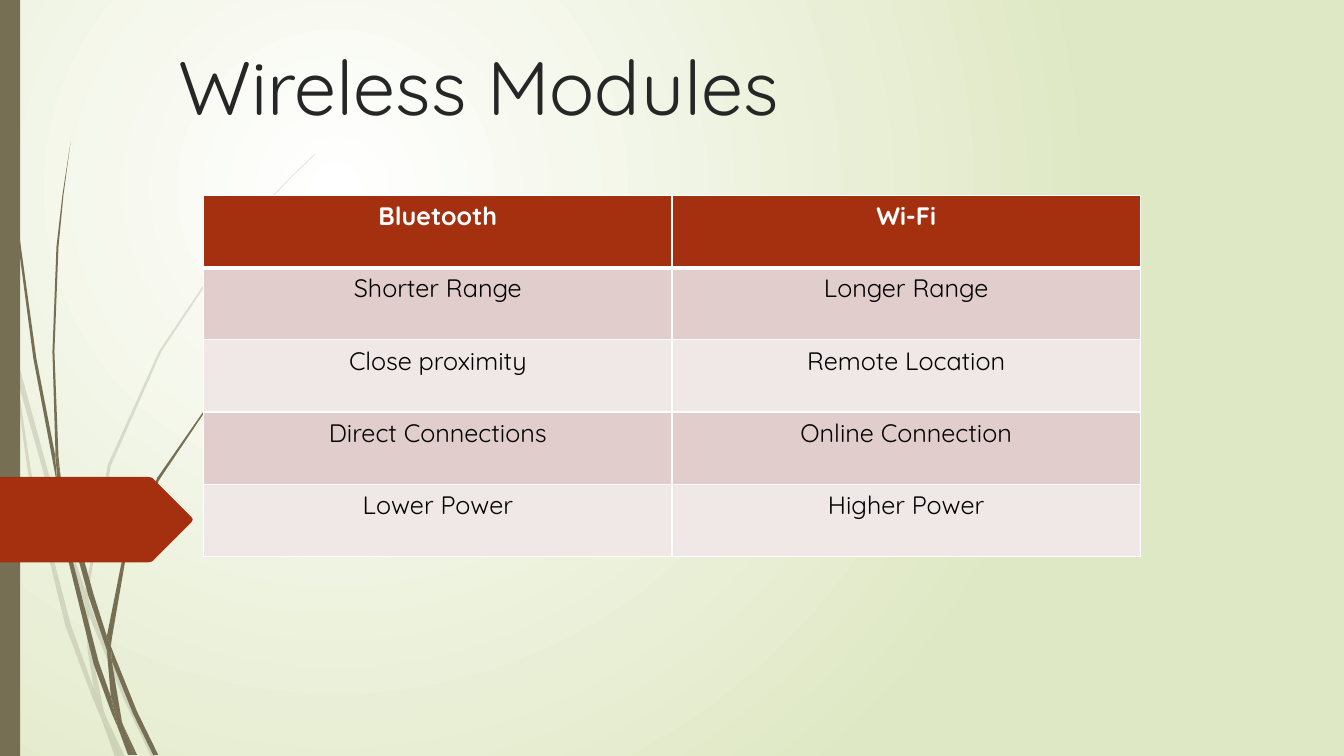
from dataclasses import dataclass
from pptx import Presentation
from pptx import util as u
from pptx.dml.color import RGBColor
from pptx.enum import shapes, text
from pptx.oxml.ns import qn
from lxml import etree

PX = 9144  # one px is a hundredth of an inch


@dataclass(frozen=True)
class Theme:
    font: str = "Quicksand"
    title: int = 54
    cell: int = 18
    ink: str = "262626"
    black: str = "000000"
    white: str = "FFFFFF"
    glow: str = "DFE8C4"
    stem: str = "766F54"
    accent: str = "A53010"
    bands: tuple = ("E1CDCC", "F0E8E7")


T = Theme()

# Corners of each grass piece, in px from the top left of the slide.
FAINT_GRASS = [
    [(11, 350), (9, 322), (0, 282), (0, 299), (10, 344)],
    [(58, 522), (84, 599), (85, 586), (62, 520), (14, 345), (17, 376)],
    [(92, 607), (88, 596), (88, 610), (123, 694), (150, 751), (155, 751), (127, 692)],
    [(119, 751), (124, 751), (105, 711)],
    [(93, 683), (70, 619), (31, 469), (17, 376), (11, 350), (28, 470), (65, 621),
     (92, 693), (101, 714), (99, 707)],
    [(84, 599), (87, 646), (93, 683), (96, 692), (105, 711), (103, 706), (91, 646),
     (88, 610), (88, 608)],
    [(88, 584), (110, 462), (160, 349), (229, 245), (268, 198), (290, 175), (312, 154),
     (312, 153), (289, 175), (268, 197), (228, 244), (158, 348), (107, 461), (85, 584),
     (85, 586), (88, 596)],
    [(101, 714), (114, 751), (119, 751)],
    [(88, 608), (88, 610), (88, 596), (85, 586), (84, 599)],
    [(96, 692), (93, 683), (99, 707), (101, 714), (119, 751), (105, 711)],
]
DARK_GRASS = [
    [(7, 110), (17, 233), (33, 355), (56, 477), (57, 481), (55, 457), (55, 453), (36, 355),
     (19, 232), (8, 109), (5, 48), (4, 0), (3, 0), (4, 48)],
    [(88, 592), (106, 645), (106, 633), (106, 631), (93, 590), (60, 472), (64, 505)],
    [(113, 649), (110, 641), (111, 656), (132, 708), (152, 749), (157, 749), (136, 706)],
    [(110, 691), (98, 657), (72, 556), (64, 505), (57, 477), (68, 557), (93, 659),
     (111, 708), (117, 722), (116, 717)],
    [(60, 472), (58, 453), (54, 349), (58, 245), (63, 193), (70, 141), (62, 193),
     (56, 245), (52, 349), (55, 449)],
    [(133, 749), (136, 749), (122, 719)],
    [(57, 477), (64, 505), (60, 472), (55, 449), (55, 453)],
    [(111, 633), (125, 552), (158, 476), (205, 406), (231, 374), (245, 359), (261, 344),
     (260, 344), (245, 358), (231, 373), (204, 405), (156, 474), (122, 551), (106, 631),
     (110, 641)],
    [(117, 722), (127, 749), (131, 749)],
    [(106, 645), (110, 691), (116, 706), (122, 719), (121, 716), (111, 656), (109, 651)],
    [(106, 645), (109, 651), (111, 656), (110, 641), (106, 631), (106, 633)],
    [(116, 706), (110, 691), (116, 717), (117, 722), (130, 749), (133, 749), (122, 719)],
]


def px(n):
    return u.Emu(round(n * PX))


def rgb(color):
    return RGBColor.from_string(color)


def write(tf, words, size, color, bold=False, align=text.PP_ALIGN.LEFT):
    p = tf.paragraphs[0]
    p.alignment = align
    r = p.add_run()
    r.text = words
    r.font.name, r.font.size, r.font.bold = T.font, u.Pt(size), bold
    r.font.color.rgb = rgb(color)


def paint(sp, color, alpha=None):
    """Give a flat fill without line or shadow; alpha is a percentage."""
    sp.shadow.inherit = False
    sp.fill.solid()
    sp.fill.fore_color.rgb = rgb(color)
    sp.line.fill.background()
    if alpha:
        clr = sp.element.spPr.find(qn("a:solidFill")).find(qn("a:srgbClr"))
        etree.SubElement(clr, qn("a:alpha"), val=str(alpha * 1000))


def outline(parent, points, color, alpha=None):
    fb = parent.shapes.build_freeform(*points[0], scale=PX)
    fb.add_line_segments(points[1:], close=True)
    paint(fb.convert_to_shape(), color, alpha)


def background(s):
    fill = s.background.fill
    fill.gradient()
    for stop, color, at in zip(fill.gradient_stops, (T.white, T.glow), (0, 1)):
        stop.color.rgb, stop.position = rgb(color), at
    grad = s.element.find(".//" + qn("a:gradFill"))
    grad.remove(grad.find(qn("a:lin")))
    ring = etree.SubElement(grad, qn("a:path"), path="circle")
    etree.SubElement(ring, qn("a:fillToRect"), l="50000", t="50000", r="100000", b="100000")


def grass(s, pieces, x, y, alpha=None):
    grp = s.shapes.add_group_shape()
    for points in pieces:
        outline(grp, [(x + dx, y + dy) for dx, dy in points], T.stem, alpha)


def side_bar(s, x, y, w, h):
    paint(s.shapes.add_shape(shapes.MSO_SHAPE.RECTANGLE, px(x), px(y), px(w), px(h)), T.stem)


def page_marker(s, x, y, w, h):
    """Arrow tab with softened corners, pointing right."""
    mid = h // 2
    upper = [(0, 0), (w - 44, 0), (w - 40, 1), (w - 1, mid - 2), (w, mid)]
    lower = [(dx, h - dy) for dx, dy in upper[::-1]]
    outline(s, [(x + dx, y + dy) for dx, dy in upper + lower], T.accent)


def title(s, words, x, y, w, h):
    tf = s.shapes.add_textbox(px(x), px(y), px(w), px(h)).text_frame
    tf.word_wrap = True
    tf.vertical_anchor = text.MSO_ANCHOR.BOTTOM
    write(tf, words, T.title, T.ink)


def cell_borders(cell, top, bottom):
    tcPr = cell._tc.get_or_add_tcPr()
    for side, pt in zip("LRTB", (1, 1, top, bottom)):
        ln = etree.SubElement(tcPr, qn("a:ln" + side), w=str(u.Pt(pt)))
        etree.SubElement(etree.SubElement(ln, qn("a:solidFill")), qn("a:srgbClr"), val=T.white)


def comparison_table(s, rows, x, y, w, h):
    tbl = s.shapes.add_table(len(rows), len(rows[0]), px(x), px(y), px(w), px(h)).table
    for col in tbl.columns:
        col.width = px(w / len(rows[0]))
    for i, row in enumerate(rows):
        tbl.rows[i].height = px(h / len(rows))
        head = i == 0
        for j, words in enumerate(row):
            cell = tbl.cell(i, j)
            cell_borders(cell, top=3 if i == 1 else 1, bottom=3 if head else 1)
            cell.fill.solid()
            cell.fill.fore_color.rgb = rgb(T.accent if head else T.bands[(i - 1) % 2])
            write(cell.text_frame, words, T.cell, T.white if head else T.black,
                  bold=head, align=text.PP_ALIGN.CENTER)


def main():
    prs = Presentation()
    prs.slide_width, prs.slide_height = px(1333), px(750)
    s = prs.slides.add_slide(prs.slide_layouts[6])
    background(s)
    grass(s, FAINT_GRASS, 0, 0, alpha=20)
    grass(s, DARK_GRASS, 0, 0)
    side_bar(s, 0, 0, 20, 750)
    page_marker(s, 0, 473, 191, 85)
    title(s, "Wireless Modules", 167, 0, 1000, 135)
    comparison_table(s, [
        ("Bluetooth", "Wi-Fi"),
        ("Shorter Range", "Longer Range"),
        ("Close proximity", "Remote Location"),
        ("Direct Connections", "Online Connection"),
        ("Lower Power", "Higher Power"),
    ], 202, 194, 929, 358)
    prs.save("out.pptx")


if __name__ == "__main__":
    main()
